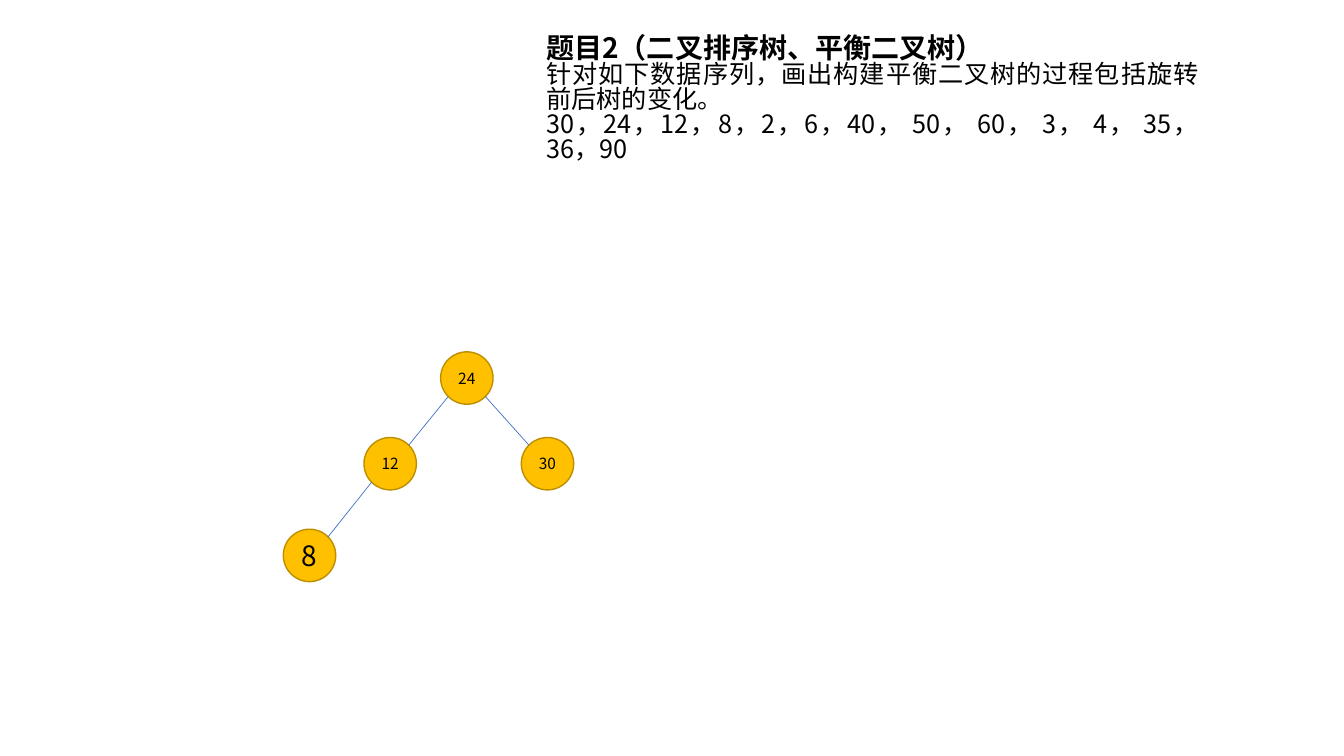
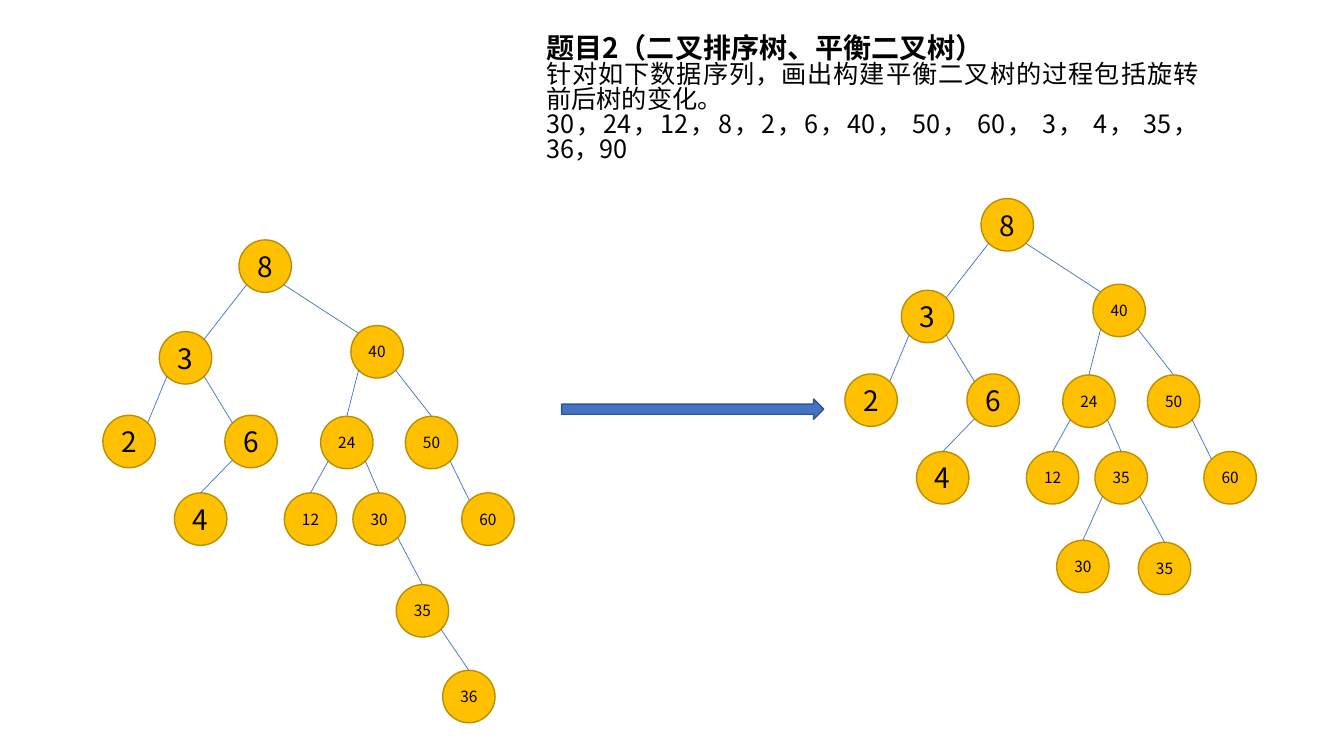
from lxml import etree
from pptx import Presentation
from pptx.dml.color import RGBColor
from pptx.enum.shapes import MSO_CONNECTOR, MSO_SHAPE
from pptx.enum.text import MSO_ANCHOR, PP_ALIGN
from pptx.oxml.ns import qn
from pptx.util import Inches, Pt

OVAL, ARROW = MSO_SHAPE.OVAL, MSO_SHAPE.RIGHT_ARROW
LINE = MSO_CONNECTOR.STRAIGHT
MIDDLE, CENTER, JUST = MSO_ANCHOR.MIDDLE, PP_ALIGN.CENTER, PP_ALIGN.JUSTIFY

FONT = "Noto Sans CJK SC"
GOLD, RIM, BLUE, NAVY, BLACK = "FFC000", "BD8E00", "4472C4", "325491", "000000"
SIZE = 0.52                      # node diameter
CORNER = SIZE / 2 * 0.5 ** 0.5   # centre to a 45 degree point

# Task text: words, size, bold
TASK = [
    ("题目2（二叉排序树、平衡二叉树）", 20, True),
    ("针对如下数据序列，画出构建平衡二叉树的过程包括旋转前后树的变化。", 18, False),
    ("30，24，12，8，2，6，40， 50， 60， 3， 4， 35， 36，90", 18, False),
]

# Nodes: value, left, top, index of parent, where the edge meets the node
FIRST = [
    ("24", 4.37, 3.49, None, None),
    ("12", 3.61, 4.34, 0, "side"),
    ("30", 5.17, 4.34, 0, "side"),
    ("8", 2.81, 5.25, 1, "side"),
]
BASE = [
    ("8", 2.37, 2.38, None, None),
    ("3", 1.58, 3.29, 0, "side"),
    ("40", 3.48, 3.23, 0, "side"),
    ("2", 1.02, 4.12, 1, "side"),
    ("6", 2.23, 4.12, 1, "side"),
    ("24", 3.18, 4.13, 2, "top"),
    ("50", 4.02, 4.13, 2, "top"),
    ("4", 1.73, 4.89, 4, "top"),
    ("12", 2.82, 4.89, 5, "top"),
    ("60", 4.58, 4.89, 6, "side"),
]
BEFORE = BASE + [
    ("30", 3.5, 4.89, 5, "top"),
    ("35", 3.93, 5.8, 10, "top"),
    ("36", 4.39, 6.65, 11, "top"),
]
AFTER = BASE + [
    ("35", 3.5, 4.89, 5, "top"),
    ("30", 3.12, 5.77, 10, "top"),
    ("35", 3.93, 5.79, 10, "top"),
]

# Slides: trees with their shift, and the arrow box if there is one
SLIDES = [
    ([(FIRST, 0, 0)], None),
    ([(BEFORE, 0, 0), (AFTER, 7.36, -0.41)], (5.57, 3.96, 2.6, 0.2)),
]


def color(code):
    return RGBColor.from_string(code)


def write(para, text, size, align, bold=False):
    para.alignment = align
    run = para.add_run()
    run.text = text
    look = {"name": FONT, "size": Pt(size), "bold": bold}
    for key, value in look.items():
        setattr(run.font, key, value)
    run.font.color.rgb = color(BLACK)
    east = etree.SubElement(run.font._element, qn("a:ea"))
    east.set("typeface", FONT)


def add_form(slide, kind, box, fill, edge):
    form = slide.shapes.add_shape(kind, *map(Inches, box))
    form.shadow.inherit = False
    form.fill.solid()
    form.fill.fore_color.rgb = color(fill)
    form.line.color.rgb = color(edge)
    form.line.width = Pt(1)
    return form


def add_task(slide):
    box = slide.shapes.add_textbox(*map(Inches, (5.32, 0.31, 6.67, 1.65)))
    frame = box.text_frame
    frame.word_wrap = True
    for i, (text, size, bold) in enumerate(TASK):
        para = frame.add_paragraph() if i else frame.paragraphs[0]
        para.line_spacing = 0.82
        write(para, text, size, JUST, bold)


def add_node(slide, text, left, top):
    node = add_form(slide, OVAL, (left, top, SIZE, SIZE), GOLD, RIM)
    frame = node.text_frame
    setup = {"word_wrap": False, "vertical_anchor": MIDDLE, "margin_left": 0,
             "margin_right": 0, "margin_top": 0, "margin_bottom": 0}
    for key, value in setup.items():
        setattr(frame, key, value)
    write(frame.paragraphs[0], text, 20 if len(text) == 1 else 11, CENTER)


def add_edge(slide, start, end, tip):
    # Leave the parent at its lower corner, on the side of the child
    (px, py), (cx, cy) = start, end
    side = CORNER if cx > px else -CORNER
    if tip == "top":
        goal = cx, cy - SIZE / 2
    else:
        goal = cx - side, cy - CORNER
    ends = (px + side, py + CORNER, *goal)
    edge = slide.shapes.add_connector(LINE, *map(Inches, ends))
    edge.line.color.rgb = color(BLUE)
    edge.line.width = Pt(0.5)
    etree.SubElement(edge._element.spPr, qn("a:effectLst"))


def add_tree(slide, nodes, dx, dy):
    mids = [(x + dx + SIZE / 2, y + dy + SIZE / 2) for _, x, y, _, _ in nodes]
    for mid, (text, x, y, parent, tip) in zip(mids, nodes):
        add_node(slide, text, x + dx, y + dy)
        if parent is not None:
            add_edge(slide, mids[parent], mid, tip)


def main():
    deck = Presentation()
    deck.slide_width, deck.slide_height = Inches(13.33), Inches(7.5)
    for trees, arrow in SLIDES:
        slide = deck.slides.add_slide(deck.slide_layouts[6])
        add_task(slide)
        for nodes, dx, dy in trees:
            add_tree(slide, nodes, dx, dy)
        if arrow:
            add_form(slide, ARROW, arrow, BLUE, NAVY)
    deck.save("out.pptx")


if __name__ == "__main__":
    main()
